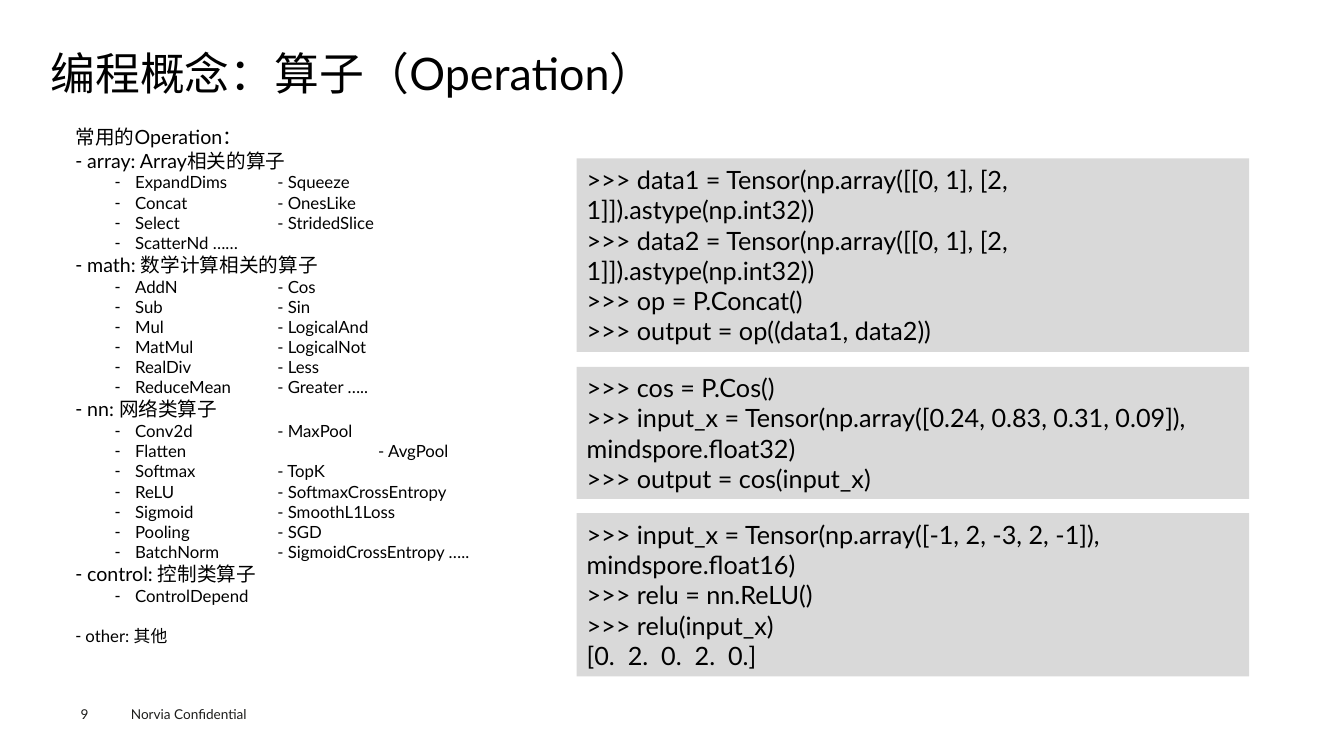
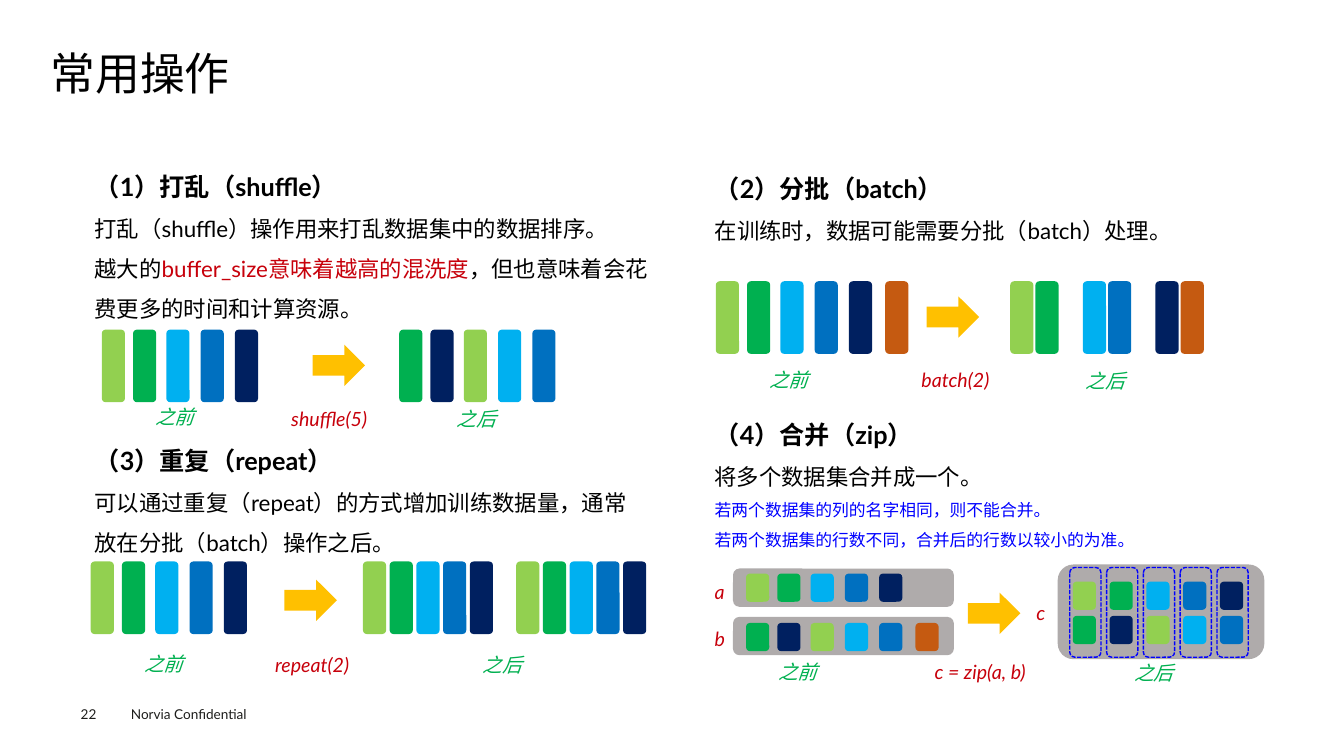
import lxml.etree
import pptx
import pptx.dml.color
import pptx.enum.dml
import pptx.enum.shapes
import pptx.enum.text
import pptx.oxml.ns
import pptx.util

Inches = pptx.util.Inches
SHAPES = pptx.enum.shapes.MSO_SHAPE
ANCHORS = pptx.enum.text.MSO_ANCHOR
FONT = "Lato"
COLORS = {
    "black": "000000", "footer": "1D1D1B", "code": "D9D9D9", "tray": "AFABAB",
    "red": "C7000B", "note": "0000FF", "arrow": "FFC000", "lime": "92D050",
    "green": "00B050", "sky": "00B0F0", "blue": "0070C0", "navy": "002060",
    "rust": "C55A11",
}
ORDERED = ("lime", "green", "sky", "blue", "navy")
SHUFFLED = ("green", "navy", "lime", "sky", "blue")
LOOSE = (0, 0.31, 0.64, 0.98, 1.32, 1.68)
PACKED = [1.06 / 4 * index for index in range(5)]
PAIRED = [0.72 * pair + 0.25 * member for pair in range(3) for member in range(2)]
BAR_WIDTH, BAR_HEIGHT, CELL_HEIGHT = 0.23, 0.72, 0.28

OPERATIONS = (
    ("array: Array相关的算子", (
        "ExpandDims\t- Squeeze", "Concat\t- OnesLike", "Select\t- StridedSlice",
        "ScatterNd ……")),
    ("math: 数学计算相关的算子", (
        "AddN\t- Cos", "Sub\t\t- Sin", "Mul\t\t- LogicalAnd", "MatMul\t- LogicalNot",
        "RealDiv\t- Less", "ReduceMean\t- Greater …..")),
    ("nn: 网络类算子", (
        "Conv2d\t- MaxPool", "Flatten\t\t- AvgPool", "Softmax\t- TopK",
        "ReLU\t\t- SoftmaxCrossEntropy", "Sigmoid\t- SmoothL1Loss", "Pooling\t- SGD",
        "BatchNorm\t- SigmoidCrossEntropy …..")),
    ("control: 控制类算子", ("ControlDepend",)),
)
CODE_BLOCKS = (
    (1.57, 1.92, (
        ">>> data1 = Tensor(np.array([[0, 1], [2, 1]]).astype(np.int32))",
        ">>> data2 = Tensor(np.array([[0, 1], [2, 1]]).astype(np.int32))",
        ">>> op = P.Concat()",
        ">>> output = op((data1, data2))")),
    (3.64, 1.31, (
        ">>> cos = P.Cos()",
        ">>> input_x = Tensor(np.array([0.24, 0.83, 0.31, 0.09]), mindspore.float32)",
        ">>> output = cos(input_x)")),
    (5.09, 1.62, (
        ">>> input_x = Tensor(np.array([-1, 2, -3, 2, -1]), mindspore.float16)",
        ">>> relu = nn.ReLU()",
        ">>> relu(input_x)",
        "[0.  2.  0.  2.  0.]")),
)


def rgb(name):
    return pptx.dml.color.RGBColor.from_string(COLORS[name])


def place(shape, left, top, width, height):
    shape.left, shape.top = Inches(left), Inches(top)
    shape.width, shape.height = Inches(width), Inches(height)


def next_paragraph(frame):
    """Return the first paragraph while the frame is empty, else a new one."""
    first = frame.paragraphs[0]
    return frame.add_paragraph() if first.runs else first


def write(paragraph, text, size=16, color="black", bold=False, italic=False,
          spacing=1.0, before=0):
    """Add a run to the paragraph, which is left-aligned."""
    paragraph.alignment = pptx.enum.text.PP_ALIGN.LEFT
    paragraph.line_spacing = spacing
    paragraph.space_before = pptx.util.Pt(before)
    run = paragraph.add_run()
    run.text = text
    font = run.font
    font.name, font.size = FONT, pptx.util.Pt(size)
    font.bold, font.italic = bold, italic
    font.color.rgb = rgb(color)


def set_margins(frame, size):
    frame.margin_left = frame.margin_right = Inches(size)
    frame.margin_top = frame.margin_bottom = Inches(size)


def add_text_box(slide, left, top, width, height):
    frame = slide.shapes.add_textbox(
        Inches(left), Inches(top), Inches(width), Inches(height)).text_frame
    frame.word_wrap = True
    return frame


def add_label(slide, text, left, top, width=0.99, color="red"):
    frame = add_text_box(slide, left, top, width, 0.34)
    write(frame.paragraphs[0], text, size=14, color=color, italic=True)


def add_block(slide, kind, left, top, width, height, fill=None):
    shape = slide.shapes.add_shape(
        kind, Inches(left), Inches(top), Inches(width), Inches(height))
    shape.shadow.inherit = False
    shape.line.fill.background()
    if fill:
        shape.fill.solid()
        shape.fill.fore_color.rgb = rgb(fill)
    else:
        shape.fill.background()
    return shape


def add_bars(slide, left, top, colors, offsets=LOOSE, height=BAR_HEIGHT):
    for color, offset in zip(colors, offsets):
        add_block(slide, SHAPES.ROUNDED_RECTANGLE, left + offset, top,
                  BAR_WIDTH, height, color)


def add_base_slide(presentation, layout_index, title, number):
    """Add a slide with the shared title style and footer."""
    slide = presentation.slides.add_slide(presentation.slide_layouts[layout_index])
    place(slide.shapes.title, 0.5, 0.49, 12.35, 0.53)
    frame = slide.shapes.title.text_frame
    set_margins(frame, 0)
    frame.auto_size = pptx.enum.text.MSO_AUTO_SIZE.NONE
    frame.vertical_anchor = ANCHORS.MIDDLE
    write(frame.paragraphs[0], title, size=32, spacing=0.9)

    footer = add_text_box(slide, 1.2, 6.95, 1.6, 0.27)
    write(footer.paragraphs[0], "Norvia Confidential", size=9.7, color="footer")
    page = add_text_box(slide, 0.8, 7, 0.55, 0.16)
    set_margins(page, 0)
    write(page.paragraphs[0], str(number), size=9.7, color="footer")
    return slide


def set_bullet(paragraph, bullet=None, margin=0, indent=0):
    properties = paragraph._p.get_or_add_pPr()
    properties.set("marL", str(Inches(margin)))
    properties.set("indent", str(Inches(indent)))
    properties.set("defTabSz", str(Inches(1)))
    tag = "a:buChar" if bullet else "a:buNone"
    element = lxml.etree.SubElement(properties, pptx.oxml.ns.qn(tag))
    if bullet:
        element.set("char", bullet)


def fill_operation_list(body, left, top, width, height):
    place(body, left, top, width, height)
    frame = body.text_frame
    frame.auto_size = pptx.enum.text.MSO_AUTO_SIZE.NONE

    def add_heading(text, bullet="-", **text_format):
        paragraph = next_paragraph(frame)
        write(paragraph, text, **text_format)
        set_bullet(paragraph, bullet)

    add_heading("常用的Operation：", bullet=None, size=14)
    for heading, items in OPERATIONS:
        add_heading(" " + heading, size=14)
        for item in items:
            paragraph = next_paragraph(frame)
            paragraph.level = 1
            write(paragraph, item, size=12)
            set_bullet(paragraph, "-", 0.59, -0.2)
    add_heading(" other: 其他", size=12, before=14.4)


def add_code_block(slide, left, top, width, height, lines):
    frame = add_block(slide, SHAPES.RECTANGLE, left, top, width, height,
                      "code").text_frame
    frame.word_wrap = True
    frame.vertical_anchor = ANCHORS.MIDDLE
    for line in lines:
        write(next_paragraph(frame), line, size=18)


def add_operation_slide(presentation):
    slide = add_base_slide(presentation, 1, "编程概念：算子（Operation）", 9)
    fill_operation_list(slide.placeholders[1], 0.65, 1.19, 5, 5.52)
    for top, height, lines in CODE_BLOCKS:
        add_code_block(slide, 5.72, top, 6.67, height, lines)


def add_explanation(slide, left, top, width, height, heading, *paragraphs):
    """Add a bold heading and paragraphs, each a list of (text, format) runs."""
    frame = add_text_box(slide, left, top, width, height)
    write(frame.paragraphs[0], heading, size=18, bold=True, spacing=1.5)
    for runs in paragraphs:
        paragraph = next_paragraph(frame)
        for text, text_format in runs:
            write(paragraph, text, spacing=1.5, **text_format)


def add_step(slide, left, top, call, arrow, before, call_at, after, call_width=0.99):
    """Add arrow and captions, at offsets from the corner of the diagram."""
    add_block(slide, SHAPES.RIGHT_ARROW, left + arrow[0], top + arrow[1],
              0.52, 0.41, "arrow")
    add_label(slide, "之前", left + before[0], top + before[1], color="green")
    add_label(slide, call, left + call_at[0], top + call_at[1], call_width)
    add_label(slide, "之后", left + after[0], top + after[1], color="green")


def draw_shuffle(slide, left, top):
    add_bars(slide, left, top, ORDERED)
    add_bars(slide, left + 2.95, top, SHUFFLED)
    add_step(slide, left, top, "shuffle(5)", (2.09, 0.15), (0.43, 0.7),
             (1.78, 0.72), (3.42, 0.72), 1.16)


def draw_batch(slide, left, top):
    colors = ORDERED + ("rust",)
    add_bars(slide, left, top, colors)
    add_bars(slide, left + 2.92, top, colors, PAIRED)
    add_step(slide, left, top, "batch(2)", (2.09, 0.15), (0.43, 0.81),
             (1.94, 0.81), (3.57, 0.82))


def draw_repeat(slide, left, top):
    add_bars(slide, left, top, ORDERED)
    for offset in (2.7, 4.22):
        add_bars(slide, left + offset, top, ORDERED, PACKED)
    add_step(slide, left, top, "repeat(2)", (1.92, 0.18), (0.43, 0.85),
             (1.73, 0.86), (3.79, 0.86))


def draw_zip(slide, left, top):
    rows = (("a", 0, 0.06, 0.05, ORDERED), ("b", 0.48, 0.53, 0.54, SHUFFLED + ("rust",)))
    for name, tray_top, name_top, cell_top, colors in rows:
        add_block(slide, SHAPES.ROUNDED_RECTANGLE, left, top + tray_top,
                  2.19, 0.38, "tray")
        add_bars(slide, left + 0.13, top + cell_top, colors, height=CELL_HEIGHT)
        add_label(slide, name, left - 0.28, top + name_top, 0.42)

    add_block(slide, SHAPES.ROUNDED_RECTANGLE, left + 3.22, top - 0.04,
              2.05, 0.94, "tray")
    add_label(slide, "c", left + 2.91, top + 0.27, 0.42)
    columns = [1.46 / 4 * index for index in range(5)]
    for cell_top, colors in ((0.13, ORDERED), (0.47, SHUFFLED)):
        add_bars(slide, left + 3.37, top + cell_top, colors, columns, CELL_HEIGHT)
    for offset in columns:
        frame = add_block(slide, SHAPES.ROUNDED_RECTANGLE, left + 3.34 + offset,
                          top - 0.01, 0.31, 0.89)
        frame.line.color.rgb = rgb("note")
        frame.line.width = pptx.util.Pt(1)
        frame.line.dash_style = pptx.enum.dml.MSO_LINE.SQUARE_DOT
    add_step(slide, left, top, "c = zip(a, b)", (2.33, 0.24), (0.35, 0.86),
             (1.9, 0.86), (3.88, 0.87), 1.41)


def add_dataset_slide(presentation):
    slide = add_base_slide(presentation, 5, "常用操作", 22)
    note = {"size": 12, "color": "note"}
    add_explanation(
        slide, 0.84, 1.5, 5.81, 1.77, "（1）打乱（shuffle）",
        [("打乱（shuffle）操作用来打乱数据集中的数据排序。", {})],
        [("越大的", {}), ("buffer_size意味着越高的混洗度", {"color": "red"}),
         ("，但也意味着会花费更多的时间和计算资源。", {})])
    add_explanation(
        slide, 6.99, 1.52, 5.55, 0.96, "（2）分批（batch）",
        [("在训练时，数据可能需要分批（batch）处理。", {})])
    add_explanation(
        slide, 0.84, 4.22, 5.62, 1.36, "（3）重复（repeat）",
        [("可以通过重复（repeat）的方式增加训练数据量，通常放在分批（batch）操作之后。", {})])
    add_explanation(
        slide, 6.99, 3.96, 5.4, 1.57, "（4）合并（zip）",
        [("将多个数据集合并成一个。", {})],
        [("若两个数据集的列的名字相同，则不能合并。", note)],
        [("若两个数据集的行数不同，合并后的行数以较小的为准。", note)])
    draw_shuffle(slide, 1.01, 3.27)
    draw_batch(slide, 7.1, 2.79)
    draw_repeat(slide, 0.9, 5.57)
    draw_zip(slide, 7.27, 5.64)


def main():
    presentation = pptx.Presentation()
    presentation.slide_width = Inches(13.33)
    presentation.slide_height = Inches(7.5)
    add_operation_slide(presentation)
    add_dataset_slide(presentation)
    presentation.save("out.pptx")


if __name__ == "__main__":
    main()
